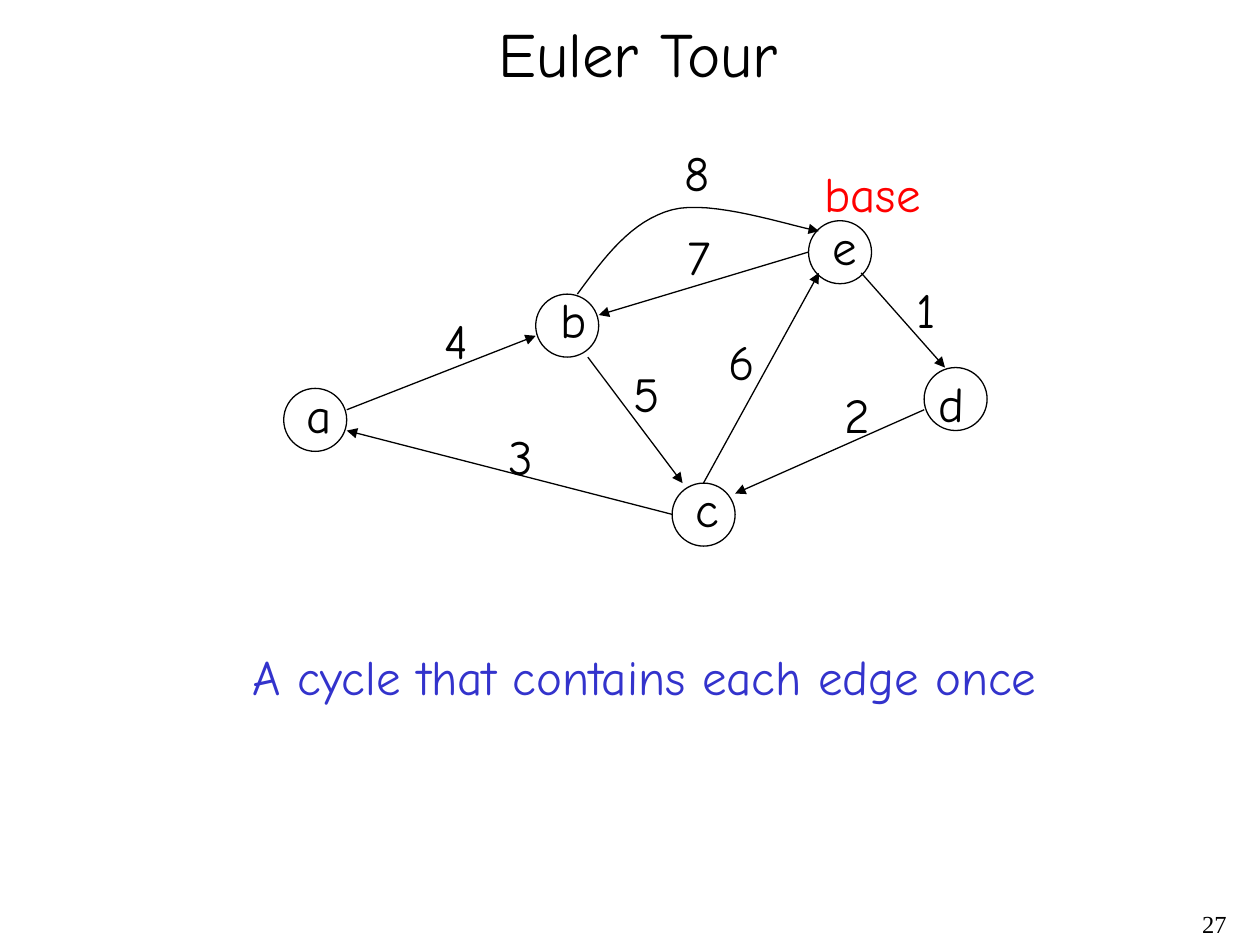
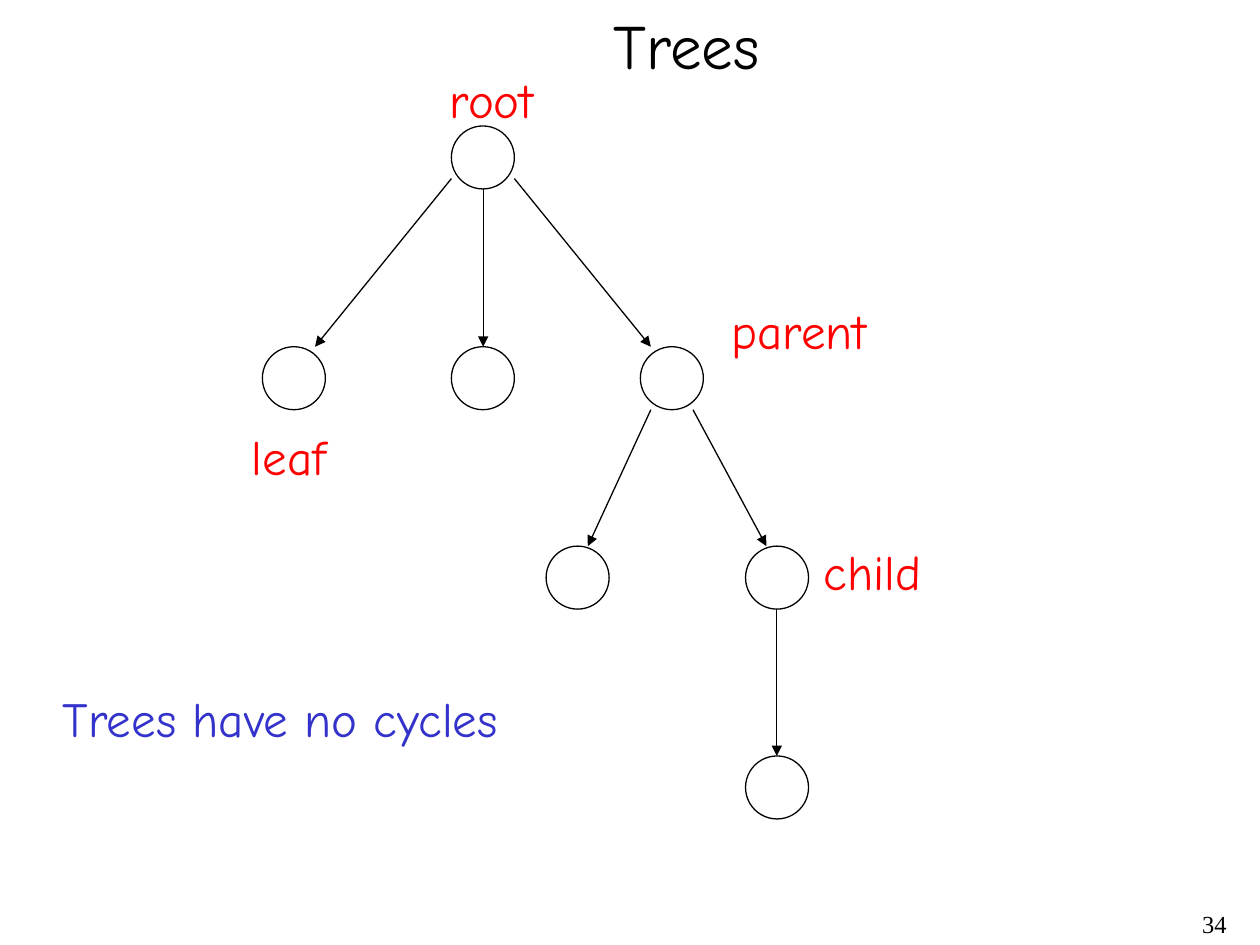
"""Build two graph theory slides: an Euler tour and a tree."""
from lxml.etree import SubElement
from pptx import Presentation
from pptx.dml.color import RGBColor
from pptx.enum.shapes import MSO_CONNECTOR as Connector, MSO_SHAPE as Shape
from pptx.enum.text import MSO_AUTO_SIZE as AutoSize, PP_ALIGN as Align
from pptx.oxml.ns import qn
from pptx.util import Cm, Pt

BLACK = RGBColor(0x00, 0x00, 0x00)
RED = RGBColor(0xFF, 0x00, 0x00)
BLUE = RGBColor(0x33, 0x33, 0xCC)
BODY_FONT = "Comic Neue"
NUMBER_FONT = "Times New Roman"
NODE_SIZE = 1.27
LABEL_HEIGHT = 1.45
LINE_WIDTH = Pt(0.75)
CURVE_STEPS = 16

SLIDES = [
    {
        "title": ("Euler Tour", 9.8, 0.16, 6.25),
        "number": "27",
        "nodes": [(5.72, 7.83), (10.8, 5.93), (13.55, 9.74), (18.63, 7.41), (16.3, 4.45)],
        "edges": [
            (17.36, 5.5, 19.05, 7.41),
            (18.63, 8.26, 14.82, 9.95),
            (13.55, 10.37, 6.99, 8.68),
            (6.99, 8.26, 10.8, 6.77),
            (11.85, 7.2, 13.76, 9.74),
            (14.18, 9.74, 16.51, 5.5),
            (16.3, 5.08, 12.07, 6.35),
        ],
        "curves": [
            [
                [(11.64, 5.93), (12.19, 5.18), (12.73, 4.45), (13.55, 4.23)],
                [(13.55, 4.23), (14.35, 4.02), (15.9, 4.55), (16.51, 4.66)],
            ],
        ],
        "labels": [
            ("a", 5.92, 7.62, 1.02, BLACK),
            ("b", 11.05, 5.72, 1.04, BLACK),
            ("c", 13.77, 9.53, 0.97, BLACK),
            ("d", 18.67, 7.41, 1.02, BLACK),
            ("e", 16.54, 4.24, 0.99, BLACK),
            ("1", 18.23, 5.51, 0.89, BLACK),
            ("2", 16.77, 7.62, 1.02, BLACK),
            ("3", 10.0, 8.47, 0.99, BLACK),
            ("4", 8.71, 6.13, 0.99, BLACK),
            ("5", 12.53, 7.2, 1.04, BLACK),
            ("6", 14.44, 6.56, 1.04, BLACK),
            ("7", 13.62, 4.45, 0.97, BLACK),
            ("8", 13.55, 2.75, 1.02, BLACK),
            ("base", 16.37, 3.18, 2.5, RED),
            ("A cycle that contains each edge once", 4.84, 12.91, 16.36, BLUE),
        ],
    },
    {
        "title": ("Trees", 12.12, 0, 3.48),
        "number": "34",
        "nodes": [
            (9.1, 2.54),
            (5.29, 6.99), (9.1, 6.99), (12.91, 6.99),
            (11.01, 11.01), (15.03, 11.01),
            (15.03, 15.24),
        ],
        "edges": [
            (9.1, 3.6, 6.35, 6.99),
            (9.74, 3.81, 9.74, 6.99),
            (10.37, 3.6, 13.12, 6.99),
            (13.12, 8.26, 11.85, 11.01),
            (13.97, 8.26, 15.45, 11.01),
            (15.66, 12.28, 15.66, 15.24),
        ],
        "curves": [],
        "labels": [
            ("root", 8.81, 1.27, 2.21, RED),
            ("leaf", 4.83, 8.47, 2.01, RED),
            ("parent", 14.5, 5.93, 3.25, RED),
            ("child", 16.36, 10.8, 2.6, RED),
            ("Trees have no cycles", 1.02, 13.76, 9.32, BLUE),
        ],
    },
]


def add_text(page, text, left, top, width, height, size, color=BLACK, font=BODY_FONT):
    box = page.shapes.add_textbox(Cm(left), Cm(top), Cm(width), Cm(height))
    frame = box.text_frame
    frame.text = text
    frame.word_wrap = False
    frame.auto_size = AutoSize.SHAPE_TO_FIT_TEXT
    para = frame.paragraphs[0]
    span = para.runs[0]
    span.font.name = font
    span.font.size = Pt(size)
    span.font.color.rgb = color
    return box


def style_arrow(arrow):
    arrow.line.color.rgb = BLACK
    arrow.line.width = LINE_WIDTH
    properties = arrow._element.spPr
    SubElement(properties.find(qn("a:ln")), qn("a:tailEnd"), type="triangle")
    SubElement(properties, qn("a:effectLst"))


deck = Presentation()
deck.slide_width = Cm(25.4)
deck.slide_height = Cm(19.05)

for content in SLIDES:
    page = deck.slides.add_slide(deck.slide_layouts[6])

    number = add_text(page, content["number"], 19.69, 18.2, 5.29, 0.85, 14, font=NUMBER_FONT)
    number.text_frame.word_wrap = True
    number.text_frame.auto_size = AutoSize.NONE
    number.text_frame.paragraphs[0].alignment = Align.RIGHT

    add_text(page, *content["title"], 1.78, 36)

    for left, top in content["nodes"]:
        node = page.shapes.add_shape(
            Shape.OVAL, Cm(left), Cm(top), Cm(NODE_SIZE), Cm(NODE_SIZE))
        node.shadow.inherit = False
        node.fill.background()
        node.line.color.rgb = BLACK
        node.line.width = LINE_WIDTH

    for edge in content["edges"]:
        style_arrow(page.shapes.add_connector(Connector.STRAIGHT, *map(Cm, edge)))

    for curve in content["curves"]:
        points = []
        for start, first_pull, second_pull, end in curve:
            for step in range(1, CURVE_STEPS + 1):
                t = step / CURVE_STEPS
                points.append(tuple(
                    Cm((1 - t) ** 3 * p + 3 * t * (1 - t) ** 2 * q
                       + 3 * t ** 2 * (1 - t) * r + t ** 3 * s)
                    for p, q, r, s in zip(start, first_pull, second_pull, end)))
        builder = page.shapes.build_freeform(*map(Cm, curve[0][0]))
        builder.add_line_segments(points, close=False)
        arc = builder.convert_to_shape()
        arc.fill.background()
        style_arrow(arc)

    for text, left, top, width, color in content["labels"]:
        add_text(page, text, left, top, width, LABEL_HEIGHT, 28, color)

deck.save("out.pptx")
